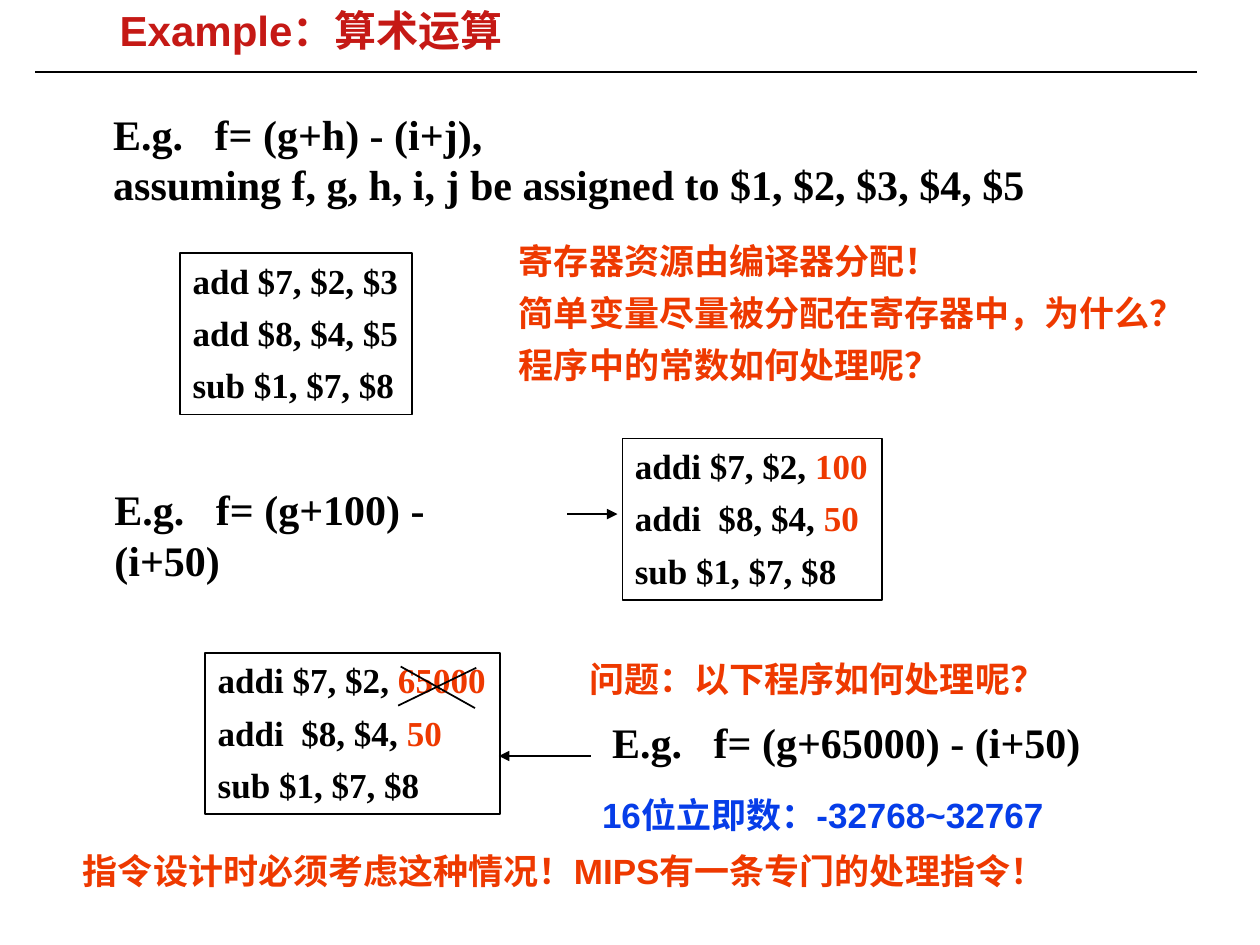
"""Build the slide on MIPS arithmetic examples and immediate operands."""
from lxml.etree import SubElement
from pptx import Presentation
from pptx.dml.color import RGBColor
from pptx.enum.shapes import MSO_CONNECTOR, MSO_SHAPE
from pptx.enum.text import MSO_ANCHOR, MSO_AUTO_SIZE, PP_ALIGN
from pptx.oxml.ns import qn
from pptx.util import Inches, Pt

BLACK, RED, ORANGE, BLUE = "000000", "C51915", "EE3900", "063DE8"
SERIF, SANS, CJK = "Times New Roman", "Arial", "Noto Sans CJK SC"

prs = Presentation()
prs.slide_width, prs.slide_height = Inches(10), Inches(7.5)
COL, ROW = prs.slide_width / 100, prs.slide_height / 75
s = prs.slides.add_slide(prs.slide_layouts[5])


def write(tf, lines, size, font, color, before=0, wrap=True, inset=(0.1, 0.05)):
    """Fill a text frame; each line is a list of (text, overrides) runs."""
    tf.word_wrap = wrap
    tf.auto_size = MSO_AUTO_SIZE.SHAPE_TO_FIT_TEXT
    tf.vertical_anchor = MSO_ANCHOR.TOP
    tf.margin_left = tf.margin_right = Inches(inset[0])
    tf.margin_top = tf.margin_bottom = Inches(inset[1])
    for i, runs in enumerate(lines):
        p = tf.add_paragraph() if i else tf.paragraphs[0]
        p.alignment = PP_ALIGN.LEFT
        p.space_before = Pt(before)
        for text, own in runs:
            r = p.add_run()
            r.text = text
            r.font.size, r.font.bold = Pt(size), True
            r.font.name = own.get("font", font)
            r.font.color.rgb = RGBColor.from_string(own.get("color", color))
            SubElement(r.font._element, qn("a:ea")).set("typeface", CJK)


def draw_line(x1, y1, x2, y2, arrow=False):
    """Draw a thin black line between two grid points."""
    c = s.shapes.add_connector(MSO_CONNECTOR.STRAIGHT, round(x1 * COL), round(y1 * ROW),
                               round(x2 * COL), round(y2 * ROW))
    c.line.width = Pt(1)
    c.line.color.rgb = RGBColor.from_string(BLACK)
    if arrow:
        SubElement(c.line._get_or_add_ln(), qn("a:tailEnd")).set("type", "triangle")
    SubElement(c._element.spPr, qn("a:effectLst"))


draw_line(2.8, 5.7, 95, 5.7)
title = s.shapes.title
title.left, title.top = round(8.8 * COL), round(0.6 * ROW)
title.width, title.height = round(40.5 * COL), round(4 * ROW)
write(title.text_frame, [[("Example：算术运算", {})]], 24, SANS, RED, inset=(0.07, 0.03))
title.text_frame.paragraphs[0].line_spacing = 0.87

formulas = [
    (8, 8.1, 74.4, 9, ["E.g.   f= (g+h) - (i+j),",
                       "assuming f, g, h, i, j be assigned to $1, $2, $3, $4, $5"]),
    (8.1, 37.9, 35.8, 5, ["E.g.   f= (g+100) - (i+50)"]),
    (47.6, 56.4, 39.2, 5, ["E.g.   f= (g+65000) - (i+50)"]),
]
for x, y, w, h, lines in formulas:
    sp = s.shapes.add_textbox(round(x * COL), round(y * ROW), round(w * COL), round(h * ROW))
    write(sp.text_frame, [[(line, {})] for line in lines], 24, SERIF, BLACK, wrap=False)

programs = [
    (14.3, 20.1, 18.4, [("add $7, $2, $3", ""), ("add $8, $4, $5", "")]),
    (49.4, 34.8, 20.6, [("addi $7, $2, ", "100"), ("addi  $8, $4, ", "50")]),
    (16.3, 51.8, 23.4, [("addi $7, $2, ", "65000"), ("addi  $8, $4, ", "50")]),
]
for x, y, w, adds in programs:
    sp = s.shapes.add_shape(MSO_SHAPE.RECTANGLE, round(x * COL), round(y * ROW),
                            round(w * COL), round(12.8 * ROW))
    sp.shadow.inherit = False
    sp.fill.background()
    sp.line.width = Pt(1)
    sp.line.color.rgb = RGBColor.from_string(BLACK)
    code = [[(op, {})] + ([(const, {"color": ORANGE})] if const else [])
            for op, const in adds + [("sub $1, $7, $8", "")]]
    write(sp.text_frame, code, 20, SERIF, BLACK, before=5.8, wrap=False)

notes = [
    (40.2, 18.5, 55.1, 12.7, SANS, ORANGE, [[("寄存器资源由编译器分配！", {})],
                                            [("简单变量尽量被分配在寄存器中，为什么？", {})],
                                            [("程序中的常数如何处理呢？", {})]]),
    (45.8, 51.7, 49.7, 4.3, SERIF, ORANGE, [[("问题：以下程序如何处理呢？", {})]]),
    (5.6, 66.9, 87.2, 4.3, CJK, ORANGE, [[("指令设计时必须考虑这种情况！", {}),
                                          ("MIPS有一条专门的处理指令！", {"font": SANS})]]),
    (46.8, 62.5, 39.4, 4.3, SANS, BLUE, [[("16位立即数：-32768~32767", {})]]),
]
for x, y, w, h, font, color, lines in notes:
    sp = s.shapes.add_textbox(round(x * COL), round(y * ROW), round(w * COL), round(h * ROW))
    write(sp.text_frame, lines, 20, font, color, before=5.8)

draw_line(45, 40.8, 49, 40.8, arrow=True)
draw_line(46.9, 60, 39.6, 60, arrow=True)
draw_line(37.8, 53, 31.6, 56)
draw_line(31.8, 52.9, 37.7, 56.2)

prs.save("out.pptx")
